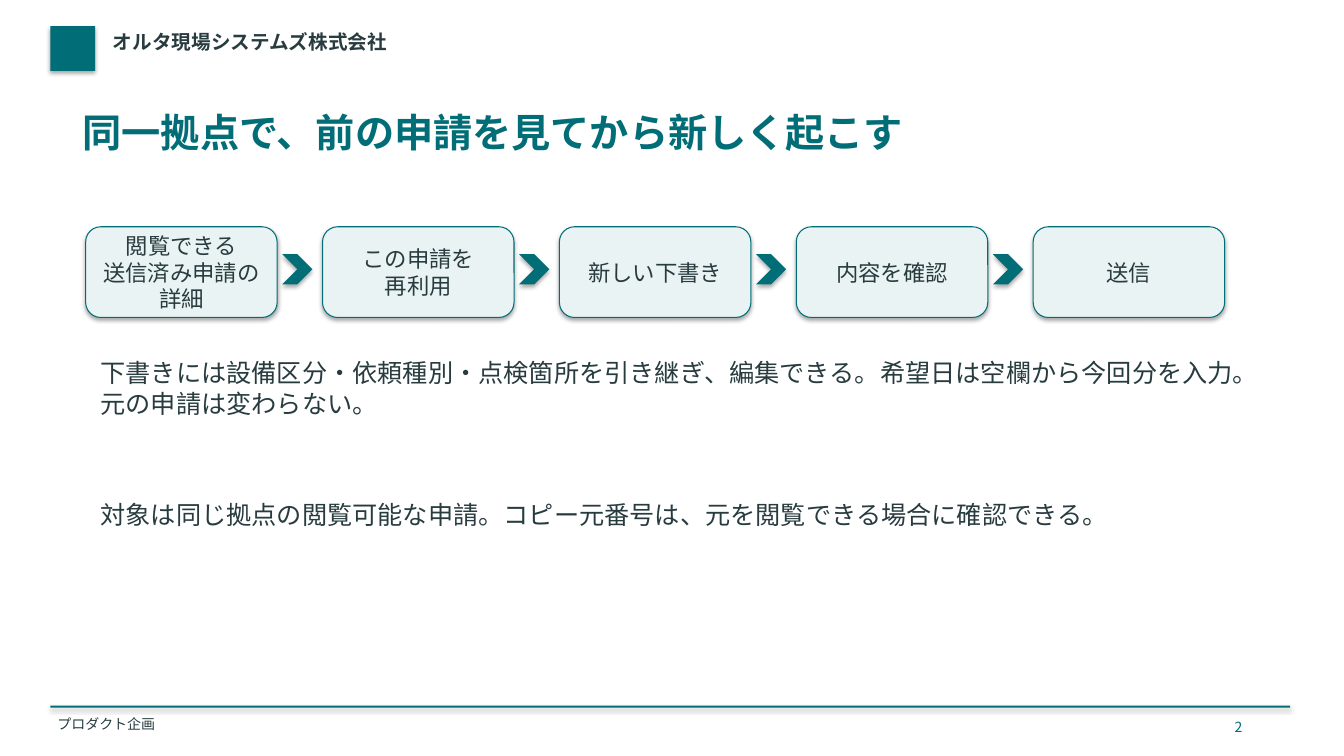
from lxml.etree import SubElement
from pptx import Presentation
from pptx.dml.color import RGBColor
from pptx.enum.shapes import MSO_SHAPE as SHAPE
from pptx.enum.text import MSO_ANCHOR as ANCHOR, MSO_AUTO_SIZE as AUTO, PP_ALIGN as ALIGN
from pptx.oxml.ns import qn
from pptx.util import Pt

FONT = "Noto Sans CJK JP"
TEAL = RGBColor(0x00, 0x6D, 0x77)
PALE = RGBColor(0xEA, 0xF3, 0xF3)
INK = RGBColor(0x28, 0x3C, 0x40)

STEPS = [
    "閲覧できる\n送信済み申請の詳細",
    "この申請を\n再利用",
    "新しい下書き",
    "内容を確認",
    "送信",
]
STEP_LEFT, STEP_TOP, STEP_W, STEP_H = 61.2, 162, 136.8, 64.8
STEP_PITCH = 169.2
ARROW_SIZE, ARROW_GAP = 21.6, 3.6


def set_text(tf, text, size, color=INK, bold=False, align=ALIGN.LEFT):
    tf.word_wrap = True
    p = tf.paragraphs[0]
    p.text = text
    p.alignment = align
    p.font.name = FONT
    p.font.size = Pt(size)
    p.font.bold = bold
    p.font.color.rgb = color
    # Japanese glyphs take their typeface from the East Asian slot
    def_rpr = p._p.pPr.find(qn("a:defRPr"))
    SubElement(def_rpr, qn("a:ea")).set("typeface", FONT)


def fit_frame(tf, inset=None):
    """Let the frame grow with its text, with one inset on all sides if given."""
    tf.auto_size = AUTO.SHAPE_TO_FIT_TEXT
    tf.vertical_anchor = ANCHOR.TOP
    if inset is not None:
        tf.margin_left = tf.margin_right = Pt(inset)
        tf.margin_top = tf.margin_bottom = Pt(inset)


def add_title(s, text):
    title = s.shapes.title
    title.left, title.top = Pt(57.6), Pt(75.6)
    title.width, title.height = Pt(842.4), Pt(54)
    set_text(title.text_frame, text, 28, TEAL, bold=True)
    fit_frame(title.text_frame, 1.44)


def add_label(s, box, text, size, color=INK, bold=False, inset=None):
    tf = s.shapes.add_textbox(*map(Pt, box)).text_frame
    set_text(tf, text, size, color, bold)
    fit_frame(tf, inset)


def add_block(s, kind, box, fill=TEAL):
    """Add a borderless filled shape that keeps the theme's soft shadow."""
    sp = s.shapes.add_shape(kind, *map(Pt, box))
    sp.fill.solid()
    sp.fill.fore_color.rgb = fill
    sp.line.fill.background()
    return sp


def add_step(s, left, text):
    sp = add_block(s, SHAPE.ROUNDED_RECTANGLE, (left, STEP_TOP, STEP_W, STEP_H), PALE)
    sp.line.color.rgb = TEAL
    sp.line.width = Pt(0.75)
    sp.text_frame.vertical_anchor = ANCHOR.MIDDLE
    set_text(sp.text_frame, text, 16, align=ALIGN.CENTER)


def add_flow(s):
    for i, text in enumerate(STEPS):
        left = STEP_LEFT + i * STEP_PITCH
        if i:
            arrow_left = left - STEP_PITCH + STEP_W + ARROW_GAP
            arrow_top = STEP_TOP + (STEP_H - ARROW_SIZE) / 2 - 2
            add_block(s, SHAPE.CHEVRON, (arrow_left, arrow_top, ARROW_SIZE, ARROW_SIZE))
        add_step(s, left, text)


def add_header(s):
    add_block(s, SHAPE.RECTANGLE, (36, 18.7, 32, 32))
    add_label(s, (79.2, 20.16, 720, 28.8), "オルタ現場システムズ株式会社", 14,
              bold=True, inset=1.44)


def add_footer(s):
    add_block(s, SHAPE.RECTANGLE, (36, 504, 885.6, 1.44))
    add_label(s, (39.6, 509.76, 648, 15.84), "プロダクト企画", 10, inset=1.44)
    add_label(s, (874.8, 509.76, 36, 15.84), "2", 10, TEAL)


def main():
    prs = Presentation()
    prs.slide_width, prs.slide_height = Pt(960), Pt(540)
    s = prs.slides.add_slide(prs.slide_layouts.get_by_name("Title Only"))
    add_header(s)
    add_title(s, "同一拠点で、前の申請を見てから新しく起こす")
    add_flow(s)
    add_label(s, (64.8, 252, 828, 72),
              "下書きには設備区分・依頼種別・点検箇所を引き継ぎ、編集できる。"
              "希望日は空欄から今回分を入力。元の申請は変わらない。", 18)
    add_label(s, (64.8, 352.8, 828, 79.2),
              "対象は同じ拠点の閲覧可能な申請。"
              "コピー元番号は、元を閲覧できる場合に確認できる。", 18)
    add_footer(s)
    prs.save("out.pptx")


if __name__ == "__main__":
    main()
